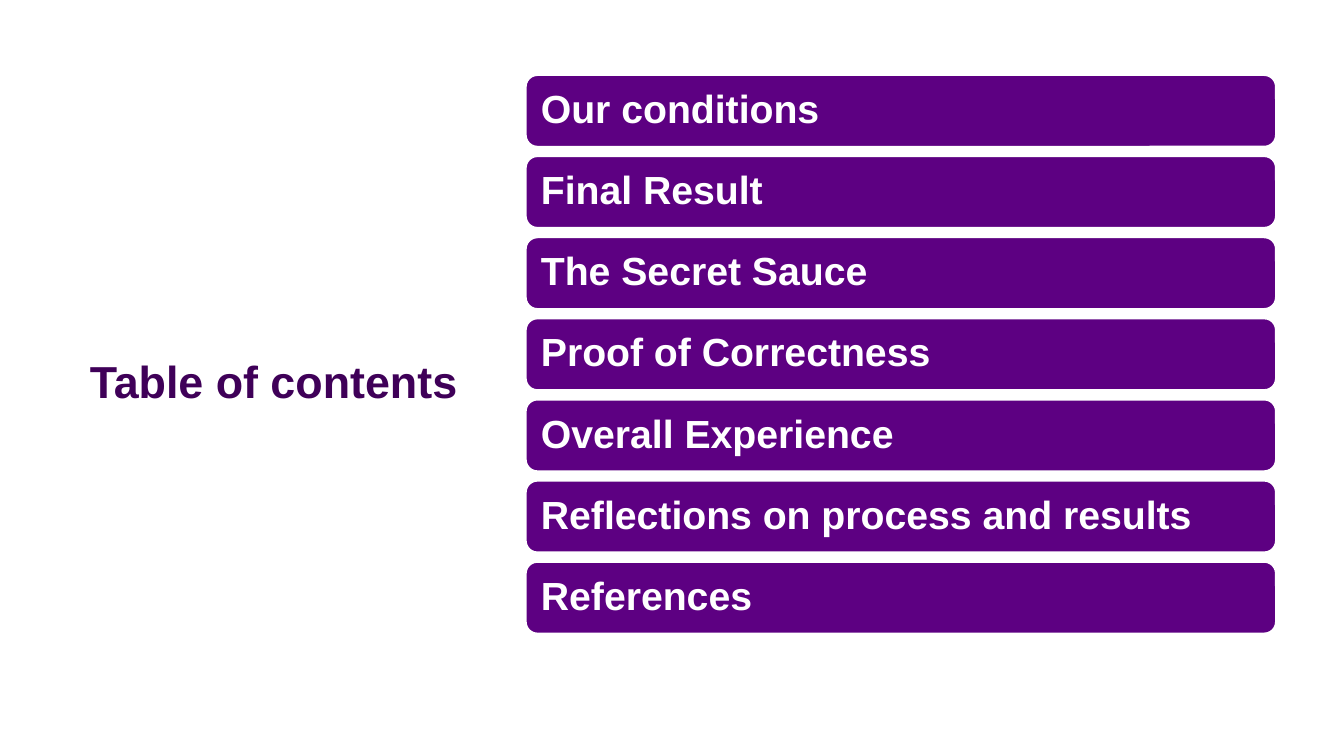
from pptx import Presentation
from pptx.dml.color import RGBColor as RGB
from pptx.enum.shapes import MSO_SHAPE as SHAPE
from pptx.enum.text import MSO_ANCHOR as ANCHOR, MSO_AUTO_SIZE as AUTO, PP_ALIGN as ALIGN
from pptx.util import Inches, Pt

COLORS = {"title": "3F0058", "bar": "5D0082", "white": "FFFFFF"}
FONT = "Arial"
TITLE_BOX = (0.79, 2.83, 3.88, 1.27)
AGENDA_BOX = (5.21, 0.74, 7.45, 5.55)
BAR_SHARE = 0.895  # share of each row's pitch taken by its bar
TOPICS = [
    "Our conditions",
    "Final Result",
    "The Secret Sauce",
    "Proof of Correctness",
    "Overall Experience",
    "Reflections on process and results",
    "References",
]


def color(name):
    return RGB.from_string(COLORS[name])


def write(tf, text, size, color_name, anchor):
    tf.text = text
    tf.word_wrap = True
    tf.auto_size = AUTO.NONE
    tf.vertical_anchor = anchor
    p = tf.paragraphs[0]
    p.alignment = ALIGN.LEFT
    p.line_spacing = 0.9
    font = p.runs[0].font
    font.name, font.size, font.bold = FONT, Pt(size), True
    font.color.rgb = color(color_name)


def add_title(s, box, text):
    sp = s.shapes.title
    sp.left, sp.top, sp.width, sp.height = map(Inches, box)
    write(sp.text_frame, text, 32, "title", ANCHOR.BOTTOM)


def add_bar(s, box, text):
    sp = s.shapes.add_shape(SHAPE.ROUNDED_RECTANGLE, *map(Inches, box))
    sp.shadow.inherit = False
    sp.fill.solid()
    sp.fill.fore_color.rgb = color("bar")
    sp.line.color.rgb = color("white")
    sp.line.width = Pt(2)
    tf = sp.text_frame
    tf.margin_left = tf.margin_right = tf.margin_top = tf.margin_bottom = Inches(0.12)
    write(tf, text, 28, "white", ANCHOR.MIDDLE)


def add_agenda(s, box, topics):
    """Stack one bar per topic so that the last bar ends at the box's bottom."""
    left, top, width, height = box
    pitch = height / (len(topics) - 1 + BAR_SHARE)
    for i, topic in enumerate(topics):
        add_bar(s, (left, top + i * pitch, width, pitch * BAR_SHARE), topic)


def main():
    prs = Presentation()
    prs.slide_width, prs.slide_height = Inches(13.33), Inches(7.5)
    s = prs.slides.add_slide(prs.slide_layouts.get_by_name("Title Only"))
    s.background.fill.solid()
    s.background.fill.fore_color.rgb = color("white")
    add_title(s, TITLE_BOX, "Table of contents")
    add_agenda(s, AGENDA_BOX, TOPICS)
    prs.save("out.pptx")


if __name__ == "__main__":
    main()
